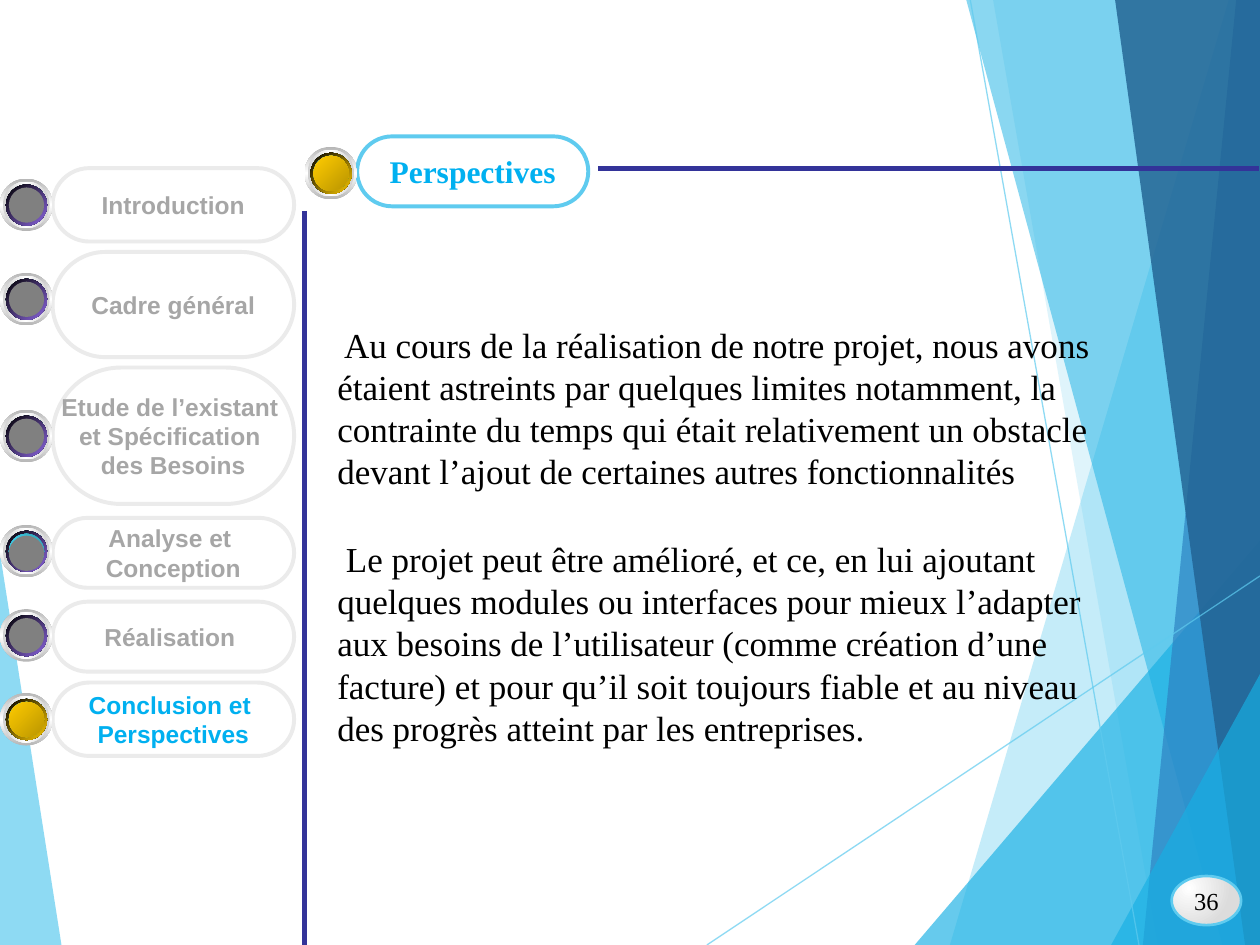
from lxml.etree import SubElement
from pptx import Presentation
from pptx.dml.color import RGBColor
from pptx.enum.shapes import MSO_CONNECTOR, MSO_SHAPE
from pptx.enum.text import MSO_ANCHOR, MSO_AUTO_SIZE, PP_ALIGN
from pptx.oxml.ns import qn
from pptx.util import Cm, Pt

SKY = RGBColor(0x5F, 0xCB, 0xEF)
CYAN = RGBColor(0x17, 0xB0, 0xE4)
BLUE = RGBColor(0x2E, 0x83, 0xC3)
NAVY = RGBColor(0x22, 0x62, 0x92)
INDIGO = RGBColor(0x33, 0x33, 0x99)
ACCENT = RGBColor(0x00, 0xB0, 0xF0)
MUTED = RGBColor(0xA6, 0xA6, 0xA6)
BORDER = RGBColor(0xEB, 0xEB, 0xEB)
BLACK = RGBColor(0x00, 0x00, 0x00)
WHITE = RGBColor(0xFF, 0xFF, 0xFF)
SILVER = RGBColor(0xB6, 0xB6, 0xB6)
LIGHT = RGBColor(0xD1, 0xD1, 0xD1)
PALE = RGBColor(0xDC, 0xDC, 0xDC)
GRAY = RGBColor(0x80, 0x80, 0x80)
AQUA = RGBColor(0x3F, 0xCD, 0xE7)
TEAL = RGBColor(0x30, 0x9D, 0xB1)
PURPLE = RGBColor(0x8D, 0x67, 0xE1)
GOLD = RGBColor(0xFF, 0xCC, 0x00)
OCHRE = RGBColor(0xBA, 0x95, 0x00)


def set_gradient(sp, colors, angle=None):
    sp.fill.gradient()
    grad = sp._element.spPr.find(qn("a:gradFill"))
    for child in list(grad):
        grad.remove(child)
    stops = SubElement(grad, qn("a:gsLst"))
    for i, color in enumerate(colors):
        gs = SubElement(stops, qn("a:gs"), pos=str(100000 * i // (len(colors) - 1)))
        SubElement(gs, qn("a:srgbClr"), val=str(color))
    if angle is None:
        circle = SubElement(grad, qn("a:path"), {"path": "circle"})
        SubElement(circle, qn("a:fillToRect"), l="50000", t="50000", r="100000", b="100000")
    else:
        SubElement(grad, qn("a:lin"), ang=str(angle * 60000), scaled="0")


def format_text(tf, font, size, color, bold=False, align=PP_ALIGN.CENTER):
    for p in tf.paragraphs:
        p.alignment = align
        for r in p.runs:
            r.font.name = font
            r.font.size = Pt(size)
            r.font.bold = bold
            r.font.color.rgb = color


prs = Presentation()
prs.slide_width, prs.slide_height = Cm(25.4), Cm(19.05)
s = prs.slides.add_slide(prs.slide_layouts[5])

facets = [
    (SKY, 70, [(0, 1115), (124, 1905), (0, 1905)]),
    (SKY, 36, [(2477, 0), (1915, 1905), (2540, 1905), (2540, 0)]),
    (SKY, 20, [(2002, 0), (2334, 1905), (2540, 1905), (2540, 0)]),
    (CYAN, 66, [(1844, 1905), (2540, 1090), (2540, 1905)]),
    (CYAN, 50, [(1948, 0), (2464, 1905), (2540, 1905), (2540, 0)]),
    (BLUE, 70, [(2492, 0), (2304, 1905), (2540, 1905), (2540, 0)]),
    (NAVY, 82, [(2248, 0), (2510, 1905), (2540, 1905), (2540, 0)]),
    (CYAN, 66, [(2240, 1905), (2540, 1359), (2540, 1905)]),
]
for color, alpha, points in facets:
    builder = s.shapes.build_freeform(*points[0], scale=Cm(0.01))
    builder.add_line_segments(points[1:])
    sp = builder.convert_to_shape()
    sp.shadow.inherit = False
    sp.fill.solid()
    sp.fill.fore_color.rgb = color
    sp.line.fill.background()
    clr = sp._element.spPr.find(qn("a:solidFill"))[0]
    SubElement(clr, qn("a:alpha"), val=str(alpha * 1000))

lines = [
    (14.25, 19.05, 25.4, 11.61, SKY, 0.75, 70),
    (19.56, 0, 22.96, 19.05, SKY, 0.75, 70),
    (6.14, 4.25, 6.14, 19.05, INDIGO, 3, 100),
    (12.06, 3.39, 25.38, 3.39, INDIGO, 3, 100),
]
for x1, y1, x2, y2, color, width, alpha in lines:
    cn = s.shapes.add_connector(MSO_CONNECTOR.STRAIGHT, Cm(x1), Cm(y1), Cm(x2), Cm(y2))
    cn.line.color.rgb = color
    cn.line.width = Pt(width)
    clr = cn.line._ln.find(qn("a:solidFill"))[0]
    SubElement(clr, qn("a:alpha"), val=str(alpha * 1000))
    SubElement(cn._element.spPr, qn("a:effectLst"))

pills = [
    (1.06, 3.39, 4.87, 1.48, BORDER, MUTED, "Introduction"),
    (1.06, 5.08, 4.87, 2.12, BORDER, MUTED, "Cadre général"),
    (1.06, 7.41, 4.87, 2.75, BORDER, MUTED, "Etude de l’existant \net Spécification \ndes Besoins"),
    (1.06, 10.44, 4.87, 1.41, BORDER, MUTED, "Analyse et \nConception"),
    (1.06, 12.13, 4.87, 1.41, BORDER, MUTED, "Réalisation "),
    (1.06, 13.76, 4.87, 1.48, BORDER, ACCENT, "Conclusion et \nPerspectives"),
    (7.2, 2.75, 4.66, 1.41, SKY, ACCENT, ""),
]
for x, y, w, h, border, color, text in pills:
    sp = s.shapes.add_shape(MSO_SHAPE.ROUNDED_RECTANGLE, Cm(x), Cm(y), Cm(w), Cm(h))
    sp.adjustments[0] = 0.5
    sp.shadow.inherit = False
    sp.fill.background()
    sp.line.color.rgb = border
    sp.line.width = Pt(2.25)
    if text:
        tf = sp.text_frame
        tf.text = text
        tf.word_wrap = False
        tf.vertical_anchor = MSO_ANCHOR.MIDDLE
        format_text(tf, "Arial", 14, color, True)

title = s.shapes.title
title.left, title.top, title.width, title.height = Cm(7.2), Cm(2.75), Cm(4.66), Cm(1.41)
tf = title.text_frame
tf.text = "Perspectives"
tf.word_wrap = False
tf.auto_size = MSO_AUTO_SIZE.NONE
tf.vertical_anchor = MSO_ANCHOR.MIDDLE
format_text(tf, "Times New Roman", 18, ACCENT, True)
s.shapes._spTree.append(title._element)

teal_core = (0.18, 0.71, [TEAL, AQUA, TEAL], 315)
gray_core = (0.18, 0.71, [GRAY, GRAY], 0)
gold_core = (0.18, 0.71, [GOLD, OCHRE], 45)
knobs = [
    (0, 3.6, PURPLE, [gray_core]),
    (0, 5.5, PURPLE, [gray_core]),
    (0, 8.26, PURPLE, [gray_core]),
    (0, 10.58, PURPLE, [teal_core, gray_core]),
    (0, 12.28, PURPLE, [gray_core]),
    (0, 13.97, GOLD, [teal_core, gold_core]),
    (6.14, 2.96, GOLD, [teal_core, gold_core]),
]
for x, y, rim, cores in knobs:
    rings = [
        (0, 1.06, [SILVER, WHITE, SILVER], 90),
        (0.06, 0.94, [LIGHT, WHITE, LIGHT], 0),
        (0.12, 0.83, [WHITE, AQUA, WHITE], 45),
        (0.12, 0.83, [BLACK, rim], 45),
    ]
    knob = s.shapes.add_group_shape()
    for inset, size, colors, angle in rings + cores:
        drop = 0.04 if cores == [teal_core, gray_core] and colors == [GRAY, GRAY] else 0
        sp = knob.shapes.add_shape(
            MSO_SHAPE.OVAL, Cm(x + inset), Cm(y + inset + drop), Cm(size), Cm(size))
        sp.shadow.inherit = False
        sp.line.fill.background()
        if colors == [GRAY, GRAY]:
            sp.fill.solid()
            sp.fill.fore_color.rgb = GRAY
        else:
            set_gradient(sp, colors, angle)

badge = s.shapes.add_shape(MSO_SHAPE.OVAL, Cm(23.62), Cm(17.66), Cm(1.4), Cm(0.99))
badge.shadow.inherit = False
set_gradient(badge, [WHITE, PALE])
badge.line.color.rgb = SKY
badge.line.width = Pt(1.5)
tf = badge.text_frame
tf.text = "36"
tf.word_wrap = False
tf.vertical_anchor = MSO_ANCHOR.MIDDLE
format_text(tf, "Times New Roman", 14, BLACK)

paragraphs = [
    (6.4, 3.68, " Au cours de la réalisation de notre projet, nous avons étaient astreints par "
     "quelques limites notamment, la contrainte du temps qui était relativement un obstacle "
     "devant l’ajout de certaines autres fonctionnalités"),
    (10.72, 4.52, " Le projet peut être amélioré, et ce, en lui ajoutant quelques modules ou "
     "interfaces pour mieux l’adapter aux besoins de l’utilisateur (comme création d’une "
     "facture) et pour qu’il soit toujours fiable et au niveau des progrès atteint par les "
     "entreprises."),
]
for y, h, text in paragraphs:
    tf = s.shapes.add_textbox(Cm(6.55), Cm(y), Cm(15.88), Cm(h)).text_frame
    tf.text = text
    tf.word_wrap = True
    tf.auto_size = MSO_AUTO_SIZE.SHAPE_TO_FIT_TEXT
    format_text(tf, "Times New Roman", 20, BLACK, align=PP_ALIGN.LEFT)

prs.save("out.pptx")
